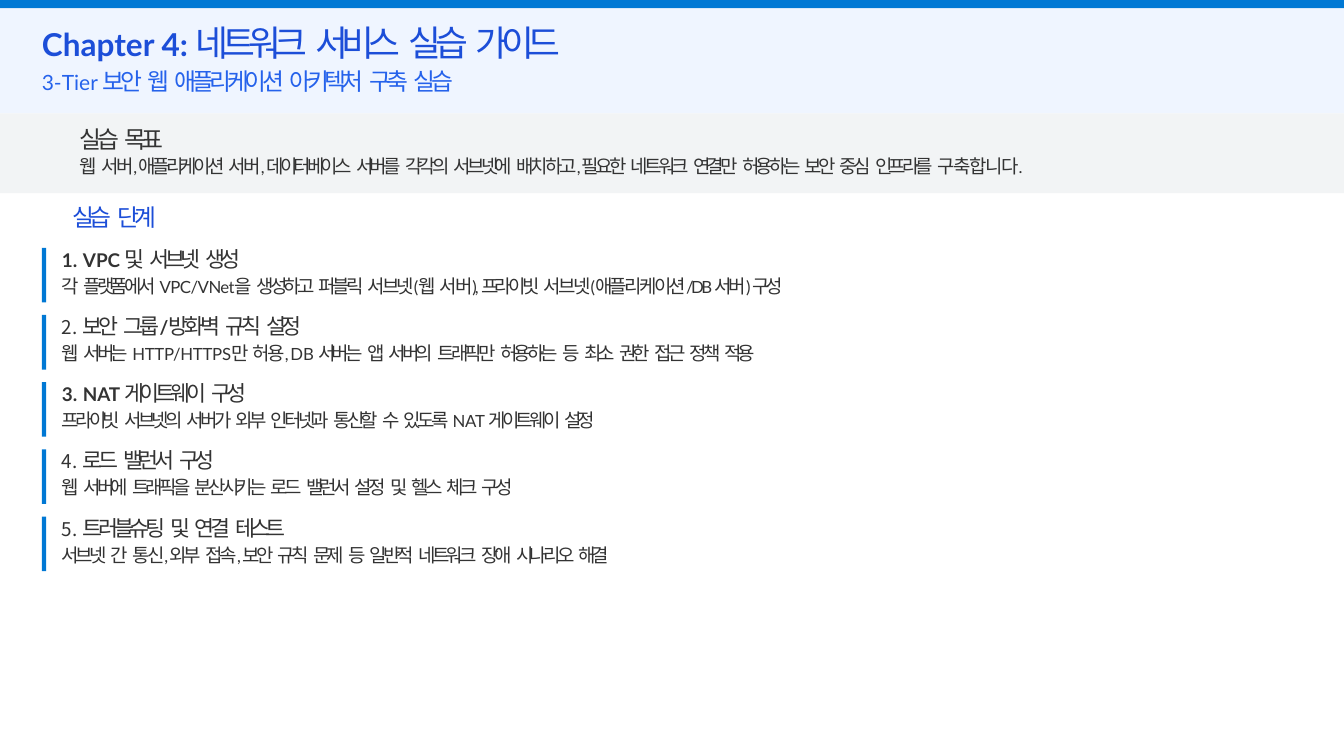
from dataclasses import dataclass
from itertools import groupby

from lxml import etree
from pptx import Presentation
from pptx import util as u
from pptx.dml.color import RGBColor
from pptx.enum import shapes, text
from pptx.oxml.ns import qn

CHAPTER = [("Chapter 4: ", 0), ("네트워크 서비스 실습 ", -4.8), ("가이드", -5.1)]
SUBTITLE = [("3-", -0.1), ("Tier ", 0),
            ("보안 웹 애플리케이션 아키텍처 구축 ", -3.2), ("실습", -3.5)]

GOAL_HEADING = [("실습 ", -3.2), ("목표", -3.6)]
GOAL = [
    ("웹 ", -2.6), ("서버", -1.8), (", ", -1.8),
    ("애플리케이션 ", -2.6), ("서버", -1.8), (", ", -1.8),
    ("데이터베이스 서버를 각각의 서브넷에 ", -2.6), ("배치하고", -2.1), (", ", -2.1),
    ("필요한 네트워크 연결만 허용하는 보안 중심 인프라를 ", -2.6),
    ("구축합니다", -1), (".", -1),
]
STEPS_HEADING = [("실습 ", -3.2), ("단계", -3.6)]
STEPS = [
    ([("VPC ", 0), ("및 서브넷 ", -3.1), ("생성", -3.4)],
     [("각 플랫폼에서 ", -2.6), ("VPC/VNet", -0.4), ("을 ", -0.4),
      ("생성하고 퍼블릭 ", -2.6), ("서브넷", -2.1), ("(", -2.1), ("웹 ", -2.1),
      ("서버", -1.4), ("), ", -1.4), ("프라이빗 ", -2.6), ("서브넷", -1.8),
      ("(", -1.8), ("애플리케이션", -1.8), ("/DB ", -1.8), ("서버", -1.8),
      (") ", -1.8), ("구성", -2.9)]),
    ([("보안 ", -3.1), ("그룹", -2.6), ("/", -2.6), ("방화벽 ", -2.6),
      ("규칙 ", -3.1), ("설정", -3.4)],
     [("웹 서버는 ", -2.6), ("HTTP/HTTPS", -0.2), ("만 ", -0.2), ("허용", -1.8),
      (", ", -1.8), ("DB ", 0),
      ("서버는 앱 서버의 트래픽만 허용하는 등 최소 권한 접근 정책 ", -2.6),
      ("적용", -2.9)]),
    ([("NAT ", -0.1), ("게이트웨이 ", -3.1), ("구성", -3.4)],
     [("프라이빗 서브넷의 서버가 외부 인터넷과 통신할 수 있도록 ", -2.6),
      ("NAT ", -0.2), ("게이트웨이 ", -2.6), ("설정", -2.9)]),
    ([("로드 밸런서 ", -3.1), ("구성", -3.4)],
     [("웹 서버에 트래픽을 분산시키는 로드 밸런서 설정 및 헬스 체크 ", -2.6),
      ("구성", -2.9)]),
    ([("트러블슈팅 및 연결 ", -3.1), ("테스트", -3.4)],
     [("서브넷 간 ", -2.6), ("통신", -1.8), (", ", -1.8), ("외부 ", -2.6),
      ("접속", -1.8), (", ", -1.8),
      ("보안 규칙 문제 등 일반적 네트워크 장애 시나리오 ", -2.6), ("해결", -2.9)]),
]


@dataclass(frozen=True)
class Style:
    korean: float
    latin: float
    color: str
    latin_bold: bool = False


class Theme:
    accent = "0078D4"
    header = "EFF5FF"
    goal_band = "F2F4F5"
    latin_font = "Lato"
    korean_font = "Noto Sans CJK KR"
    chapter = Style(25.5, 22.5, "1C4ED8", True)
    subtitle = Style(17, 15, "2562EB")
    goal_heading = Style(17, 15, "333333")
    steps_heading = Style(17, 15, "1C4ED8")
    step = Style(15.5, 13.5, "333333", True)
    detail = Style(13.5, 12, "333333")


WIDTH, HEIGHT = 1280, 720
BANDS = [(0, 8, Theme.accent), (8, 100, Theme.header), (108, 76, Theme.goal_band)]
MARK_LEFT, MARK_TOP, MARK_WIDTH, MARK_HEIGHT, MARK_PITCH = 40, 236, 4, 52, 64


def px(length):
    return u.Emu(length * 9525)


def is_korean(words):
    return any("가" <= letter <= "힣" for letter in words)


def add_block(slide, left, top, width, height, color):
    block = slide.shapes.add_shape(shapes.MSO_SHAPE.RECTANGLE,
                                   px(left), px(top), px(width), px(height))
    block.shadow.inherit = False
    block.fill.solid()
    block.fill.fore_color.rgb = RGBColor.from_string(color)
    block.line.fill.background()


def prepare_frame(frame, top_margin):
    frame.word_wrap = True
    frame.auto_size = text.MSO_AUTO_SIZE.SHAPE_TO_FIT_TEXT
    frame.vertical_anchor = text.MSO_ANCHOR.TOP
    frame.margin_left = frame.margin_right = frame.margin_bottom = 0
    frame.margin_top = px(top_margin)


def add_piece(paragraph, piece, spacing, korean, style):
    run = paragraph.add_run()
    run.text = piece
    run.font.name = Theme.korean_font if korean else Theme.latin_font
    run.font.size = u.Pt(style.korean if korean else style.latin)
    run.font.bold = style.latin_bold and not korean
    run.font.color.rgb = RGBColor.from_string(style.color)
    run.font._element.set("spc", str(round(spacing * 100)))


def write(paragraph, runs, style, before, margin=1, indent=0):
    paragraph.alignment = text.PP_ALIGN.LEFT
    paragraph.space_before = u.Pt(before)
    properties = paragraph._p.get_or_add_pPr()
    properties.set("marL", str(px(margin)))
    properties.set("indent", str(px(indent)))
    for words, spacing in runs:
        if is_korean(words):
            for gap, letters in groupby(words, str.isspace):
                add_piece(paragraph, "".join(letters), 0 if gap else spacing, True, style)
        else:
            add_piece(paragraph, words, spacing, False, style)


def number(paragraph, position, first_words):
    properties = paragraph._p.get_or_add_pPr()
    if is_korean(first_words):
        etree.SubElement(properties, qn("a:buSzPct")).set("val", "87000")
    etree.SubElement(properties, qn("a:buFont")).set("typeface", Theme.latin_font)
    numbering = etree.SubElement(properties, qn("a:buAutoNum"))
    numbering.set("type", "arabicPeriod")
    numbering.set("startAt", str(position))


def main():
    deck = Presentation()
    deck.slide_width, deck.slide_height = px(WIDTH), px(HEIGHT)
    slide = deck.slides.add_slide(deck.slide_layouts[5])

    for top, height, color in BANDS:
        add_block(slide, 0, top, WIDTH, height, color)
    for row in range(len(STEPS)):
        add_block(slide, MARK_LEFT, MARK_TOP + row * MARK_PITCH,
                  MARK_WIDTH, MARK_HEIGHT, Theme.accent)

    title = slide.shapes.title
    title.left, title.top, title.width, title.height = map(px, (39, 14, 1203, 78))
    title.element.getparent().append(title.element)
    heading = title.text_frame
    prepare_frame(heading, 6)
    write(heading.paragraphs[0], CHAPTER, Theme.chapter, 4.2)
    write(heading.add_paragraph(), SUBTITLE, Theme.subtitle, 1.9)

    guide = slide.shapes.add_textbox(px(58), px(116), px(957), px(450)).text_frame
    prepare_frame(guide, 3)
    write(guide.paragraphs[0], GOAL_HEADING, Theme.goal_heading, 2.5, 18)
    write(guide.add_paragraph(), GOAL, Theme.detail, 1.1, 18)
    write(guide.add_paragraph(), STEPS_HEADING, Theme.steps_heading, 17.8, 11)
    for position, (name, detail) in enumerate(STEPS, 1):
        step = guide.add_paragraph()
        write(step, name, Theme.step, 10.3 if position == 1 else 11.1, 21, -20)
        number(step, position, name[0][0])
        write(guide.add_paragraph(), detail, Theme.detail, 2.1)

    deck.save("out.pptx")


if __name__ == "__main__":
    main()
